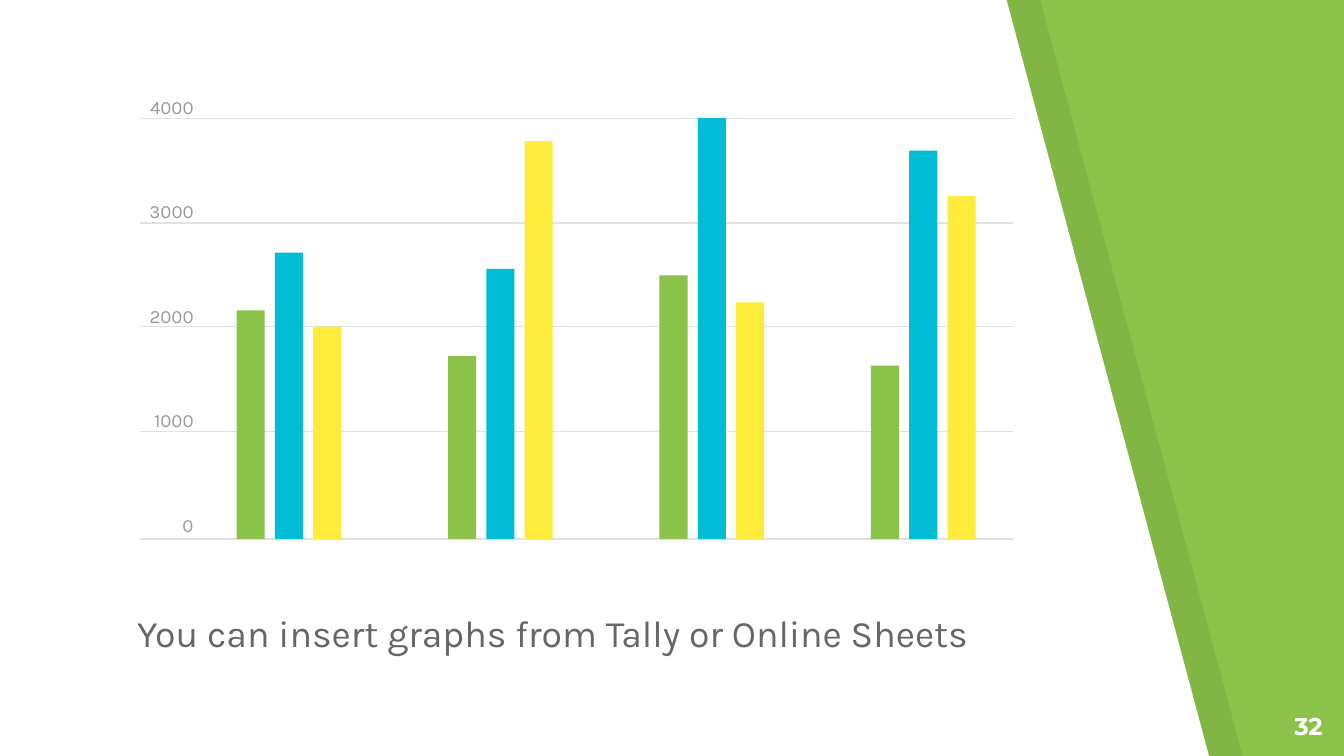
from pptx import Presentation
from pptx.dml.color import RGBColor
from pptx.enum import shapes, text
from pptx.oxml import ns
from pptx.util import Inches, Pt
from lxml import etree


def rgb(value):
    return RGBColor.from_string(value)


def add_run(p, words, font, size, color, bold=False):
    r = p.add_run()
    r.text = words
    r.font.name = font
    r.font.size = Pt(size)
    r.font.bold = bold
    r.font.color.rgb = rgb(color)


# Widescreen slide, 16:9
prs = Presentation()
prs.slide_width, prs.slide_height = Inches(10), Inches(10 * 9 / 16)
s = prs.slides.add_slide(prs.slide_layouts[1])
s.background.fill.solid()
s.background.fill.fore_color.rgb = rgb("8BC34A")

# Slanted white panel over its translucent shade, both behind the caption
for z, (left, color, alpha) in enumerate(((0.25, "000000", 7), (0, "FFFFFF", 100))):
    corners = [(0, -0.01), (0, 5.64), (9, 5.64), (7.49, 0)]
    points = [(Inches(left + x), Inches(y)) for x, y in corners]
    fb = s.shapes.build_freeform(*points[0], scale=1.0)
    fb.add_line_segments(points[1:], close=True)
    sp = fb.convert_to_shape()
    sp.shadow.inherit = False
    sp.line.fill.background()
    sp.fill.solid()
    sp.fill.fore_color.rgb = rgb(color)
    if alpha < 100:
        clr = sp.element.spPr.find(".//" + ns.qn("a:srgbClr"))
        etree.SubElement(clr, ns.qn("a:alpha")).set("val", str(alpha * 1000))
    s.shapes.element.insert(2 + z, sp.element)

# Caption in the body placeholder
title = s.shapes.title
title.element.getparent().remove(title.element)
body = s.placeholders[1]
body.left, body.top = Inches(0.92), Inches(4.4)
body.width, body.height = Inches(8.58), Inches(0.57)
tf = body.text_frame
tf.auto_size = text.MSO_AUTO_SIZE.NONE
tf.vertical_anchor = text.MSO_ANCHOR.BOTTOM
tf.margin_left = tf.margin_right = tf.margin_top = tf.margin_bottom = Inches(0.1)
p = tf.paragraphs[0]
pPr = p._p.get_or_add_pPr()
pPr.set("marL", "0")
pPr.set("indent", "0")
etree.SubElement(pPr, ns.qn("a:buNone"))
p.space_before = Pt(0)
add_run(p, "You can insert graphs from Tally or Online Sheets", "Karla", 20, "666666")

# Slide number
sp = s.shapes.add_textbox(Inches(9.34), Inches(5.19), Inches(0.6), Inches(0.43))
tf = sp.text_frame
tf.word_wrap = True
tf.margin_left = tf.margin_right = tf.margin_top = tf.margin_bottom = Inches(0.1)
p = tf.paragraphs[0]
p.alignment = text.PP_ALIGN.RIGHT
add_run(p, "32", "Montserrat", 13, "FFFFFF", bold=True)

# Grid lines
base = 4.01
for y in (0.88, 1.66, 2.43, 3.21, base):
    line = s.shapes.add_connector(shapes.MSO_CONNECTOR.STRAIGHT,
                                  Inches(1.04), Inches(y), Inches(7.54), Inches(y))
    line.line.color.rgb = rgb("DCE2E7")
    line.line.width = Pt(0.75)
    etree.SubElement(line._element.spPr, ns.qn("a:effectLst"))

# Axis labels
sp = s.shapes.add_textbox(Inches(1.04), Inches(0.71), Inches(0.4), Inches(3.31))
tf = sp.text_frame
tf.word_wrap = True
tf.margin_left = tf.margin_right = tf.margin_top = tf.margin_bottom = 0
for i, value in enumerate(range(4000, -1, -1000)):
    p = tf.add_paragraph() if i else tf.paragraphs[0]
    p.alignment = text.PP_ALIGN.RIGHT
    p.space_before = Pt(44 if i else 0)
    add_run(p, str(value), "Karla", 10, "999999")

# Bars: four groups of three, heights in inches
colors = ("8BC34A", "00BCD4", "FFEB3B")
groups = ((1.7, 2.13, 1.58), (1.36, 2.01, 2.96), (1.96, 3.13, 1.76), (1.29, 2.89, 2.55))
group_step = (6.48 - 1.76) / 3
bar_step = 0.57 / 2
for g, heights in enumerate(groups):
    for b, (height, color) in enumerate(zip(heights, colors)):
        left = 1.76 + g * group_step + b * bar_step
        sp = s.shapes.add_shape(shapes.MSO_SHAPE.RECTANGLE, Inches(left),
                                Inches(base - height), Inches(0.21), Inches(height))
        sp.shadow.inherit = False
        sp.line.fill.background()
        sp.fill.solid()
        sp.fill.fore_color.rgb = rgb(color)

prs.save("out.pptx")
